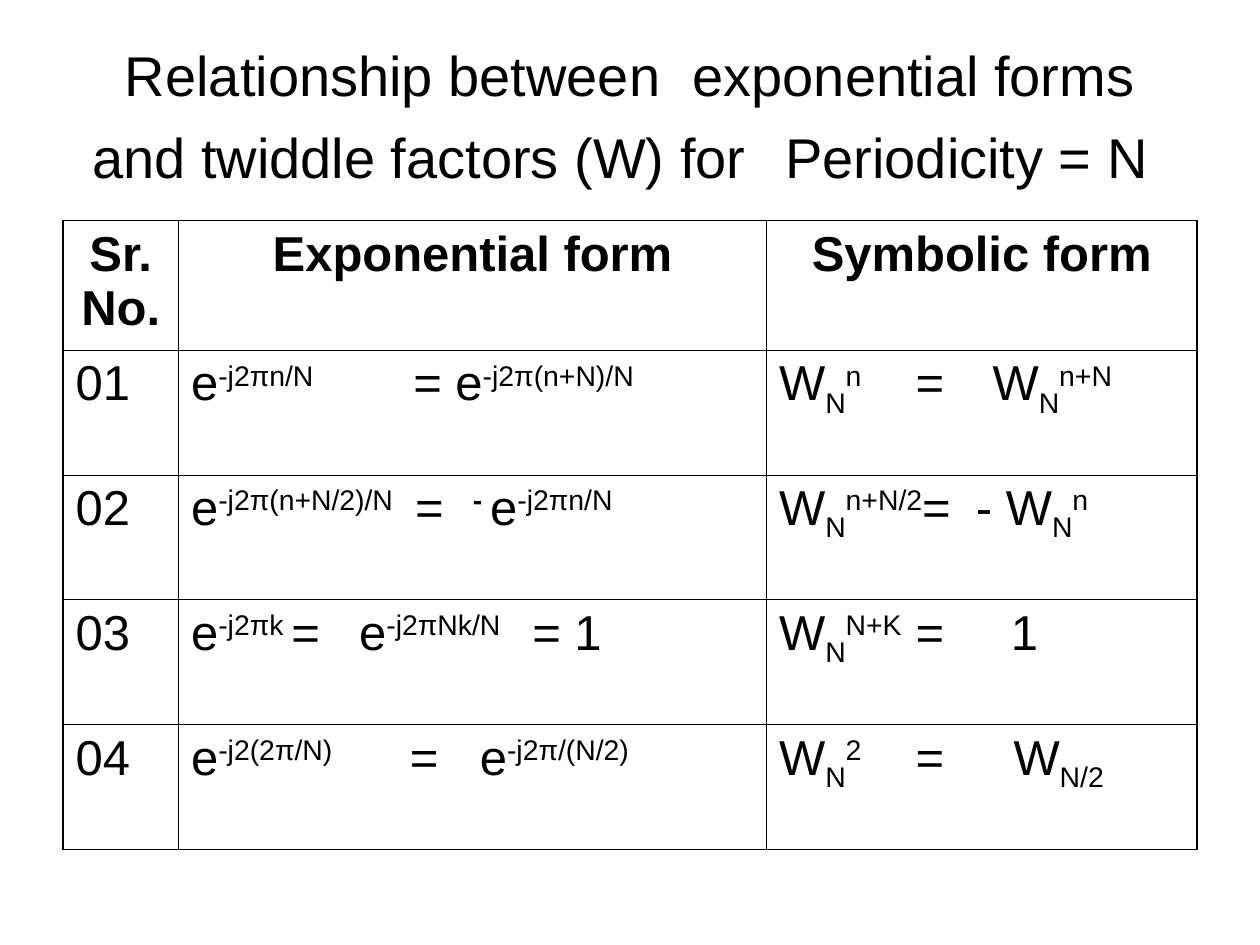
import pptx
import pptx.dml.color
import pptx.enum.text
import pptx.oxml.ns
import pptx.util
from lxml import etree

Pt = pptx.util.Pt
ALIGN = pptx.enum.text.PP_ALIGN
BLACK = pptx.dml.color.RGBColor(0x00, 0x00, 0x00)
WHITE = pptx.dml.color.RGBColor(0xFF, 0xFF, 0xFF)
INNER_LINE, OUTER_LINE = 0.45, 1.08

# Leading mark of a formula segment -> run properties
MARKS = {"^": {"baseline": "30000"},
         "_": {"baseline": "-25000"},
         "*": {"baseline": "30000", "b": "1"}}

HEADINGS = ["Sr. No.", "Exponential form", "Symbolic form"]
# Each formula: segments separated by "|", then its tab stops in points
RELATIONS = [
    (("e|^-j2πn/N|\t= e|^-j2π(n+N)/N", [127]),
     ("W|_N|^n|\t=\tW|_N|^n+N", [78, 122])),
    (("e|^-j2π(n+N/2)/N|\t=\t|*- |e|^-j2πn/N", [128, 161]),
     ("W|_N|^n+N/2|=\t- W|_N|^n", [112.5])),
    (("e|^-j2πk |=\te|^-j2πNk/N|\t= 1", [96, 195]),
     ("W|_N|^N+K|\t=\t1", [78, 132.5])),
    (("e|^-j2(2π/N)|\t=\te|^-j2π/(N/2)", [125, 165]),
     ("W|_N|^2|\t=\tW|_N/2", [78, 134])),
]


def add_child(parent, tag, **attributes):
    return etree.SubElement(parent, pptx.oxml.ns.qn(tag), attributes)


class SlideWriter:
    font_name = "Arial"

    def __init__(self, slide):
        self.slide = slide

    def run(self, paragraph, text, size, bold=False, **properties):
        run = paragraph.add_run()
        run.text = text
        style = {"name": self.font_name, "size": Pt(size), "bold": bold}
        for key, value in style.items():
            setattr(run.font, key, value)
        run.font.color.rgb = BLACK
        for key, value in properties.items():
            run.font._element.set(key, value)

    def title(self, pieces, left, top, width, height):
        """Write (text, size, letter spacing in points) pieces as one paragraph."""
        title = self.slide.shapes.title
        box = {"left": left, "top": top, "width": width, "height": height}
        for key, value in box.items():
            setattr(title, key, Pt(value))
        title.fill.solid()
        title.fill.fore_color.rgb = WHITE
        frame = title.text_frame
        frame.auto_size = pptx.enum.text.MSO_AUTO_SIZE.NONE
        frame.vertical_anchor = pptx.enum.text.MSO_ANCHOR.MIDDLE
        paragraph = frame.paragraphs[0]
        paragraph.alignment = ALIGN.CENTER
        for text, size, spacing in pieces:
            self.run(paragraph, text, size, spc=str(round(spacing * 100)))

    def table(self, left, top, widths, heights):
        frame = self.slide.shapes.add_table(
            len(heights), len(widths), Pt(left), Pt(top),
            Pt(sum(widths)), Pt(sum(heights)))
        table = frame.table
        table.first_row = table.horz_banding = False
        for column, width in zip(table.columns, widths):
            column.width = Pt(width)
        for row, height in zip(table.rows, heights):
            row.height = Pt(height)
        last_row, last_column = len(heights) - 1, len(widths) - 1
        for r, row in enumerate(table.rows):
            for c, cell in enumerate(row.cells):
                outer = {"L": c == 0, "R": c == last_column,
                         "T": r == 0, "B": r == last_row}
                self.borders(cell, outer)
                cell.fill.solid()
                cell.fill.fore_color.rgb = WHITE
        return table

    def borders(self, cell, outer):
        properties = cell._tc.get_or_add_tcPr()
        for side, is_outer in outer.items():
            width = Pt(OUTER_LINE if is_outer else INNER_LINE)
            line = add_child(properties, f"a:ln{side}", w=str(width))
            add_child(add_child(line, "a:solidFill"), "a:srgbClr", val=str(BLACK))

    def cell(self, cell, formula, stops=(), size=28, bold=False, align=ALIGN.LEFT):
        paragraph = cell.text_frame.paragraphs[0]
        paragraph.alignment = align
        if stops:
            tabs = add_child(paragraph._p.get_or_add_pPr(), "a:tabLst")
            for stop in stops:
                add_child(tabs, "a:tab", pos=str(Pt(stop)), algn="l")
        for segment in formula.split("|"):
            properties = MARKS.get(segment[0], {})
            text = segment[1:] if properties else segment
            self.run(paragraph, text, size, bold, **properties)


def main():
    deck = pptx.Presentation()
    deck.slide_width, deck.slide_height = Pt(720), Pt(540)
    writer = SlideWriter(deck.slides.add_slide(deck.slide_layouts[5]))

    wide_gap = (" ", 40, 11)
    writer.title(
        [("Relationship between", 32, 0), (" ", 32, 9),
         ("exponential forms and twiddle factors (W) for", 32, 0), wide_gap,
         ("Periodicity = N", 32, 0), wide_gap],
        36, 21.6, 648, 90)

    relations = writer.table(36, 126, [66, 336, 246], [74.2] + [71.3] * 4)
    for column, heading in enumerate(HEADINGS):
        writer.cell(relations.cell(0, column), heading, bold=True, align=ALIGN.CENTER)
    for number, (exponential, symbolic) in enumerate(RELATIONS, start=1):
        writer.cell(relations.cell(number, 0), f"{number:02d}")
        writer.cell(relations.cell(number, 1), *exponential)
        writer.cell(relations.cell(number, 2), *symbolic)

    deck.save("out.pptx")


if __name__ == "__main__":
    main()
